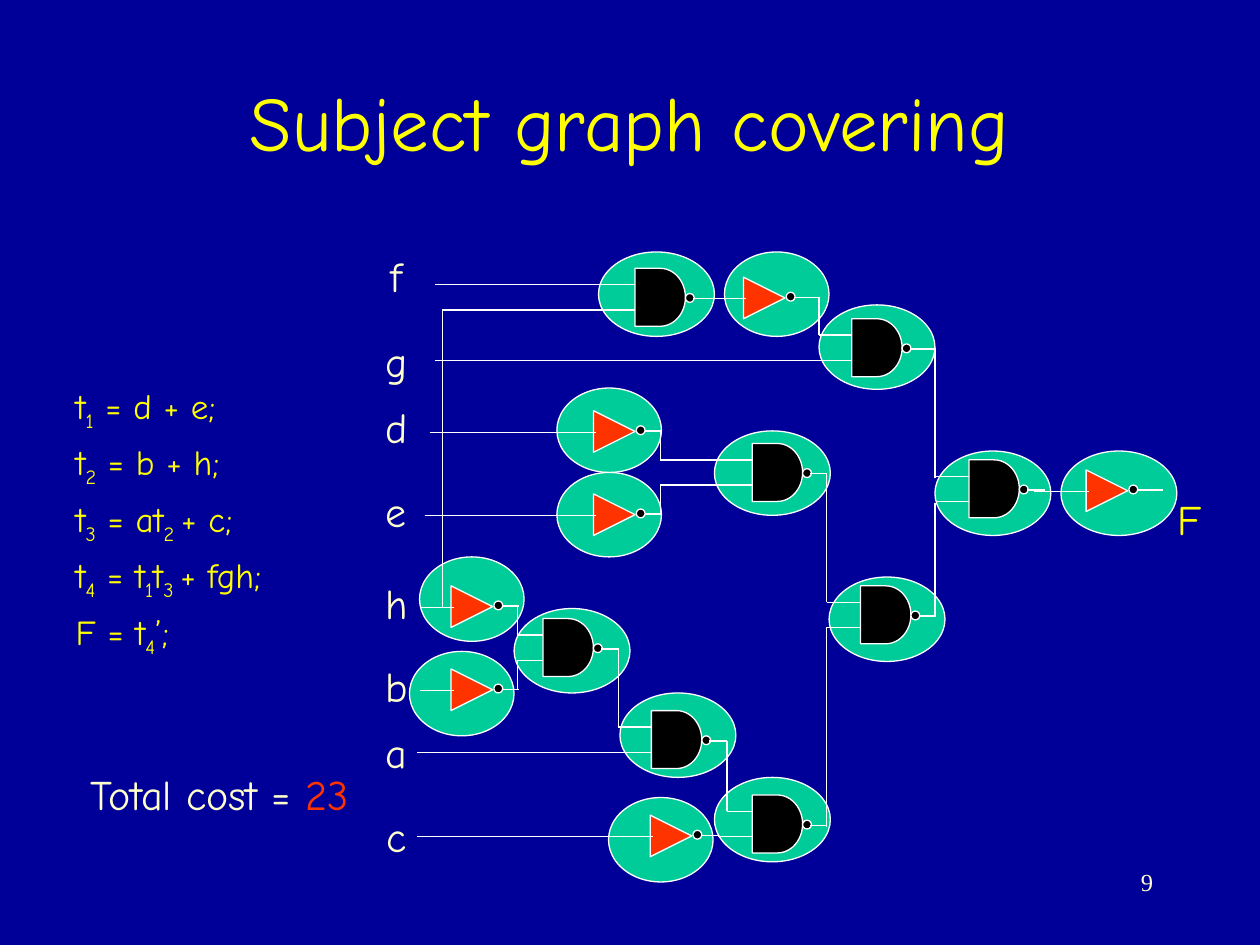
import lxml.etree
import pptx
import pptx.dml.color
import pptx.enum.shapes
import pptx.enum.text
import pptx.oxml.ns
import pptx.util

SHAPES = pptx.enum.shapes.MSO_SHAPE
ALIGN = pptx.enum.text.PP_ALIGN
ANCHOR = pptx.enum.text.MSO_ANCHOR
AUTO_SIZE = pptx.enum.text.MSO_AUTO_SIZE
COLORS = {
    "background": "000099", "cover": "00CC99", "nand": "000000", "inverter": "FF3300",
    "line": "FFFFFF", "title": "FFFF00", "text": "FFFFCC", "cost": "FF3300",
}
FONT = "Comic Neue"
PX_PER_INCH = 100

COVERS = [
    (483, 633, 83), (575, 200, 83), (650, 242, 92), (742, 358, 92), (842, 358, 92),
    (567, 342, 92), (658, 458, 92), (408, 483, 92), (567, 617, 92), (492, 550, 92),
    (442, 308, 83), (442, 375, 83), (333, 442, 83), (325, 517, 83), (475, 200, 92),
]
NANDS = [
    (597, 631, 577, 570, 656), (504, 213, 345, 351, 574), (676, 253, 650, 345, 742),
    (597, 352, 524, 524, 656), (683, 465, 656, 656, 743), (769, 365, 743, 743, 829),
    (431, 491, 411, 411, 491), (517, 564, 491, 331, 577),
]
INVERTERS = [
    (516, 647, 331, 571), (590, 220, 565, 651), (471, 326, 341, 525), (471, 392, 337, 525),
    (358, 465, 333, 412), (358, 531, 333, 412), (862, 373, 821, 923),
]
VERTICAL_WIRES = [
    (650, 266, 236), (524, 365, 342), (524, 385, 408), (742, 379, 276),
    (742, 399, 489), (656, 376, 478), (411, 505, 481), (411, 524, 547),
    (491, 515, 578), (577, 644, 588), (656, 498, 656), (351, 246, 482),
]
INPUTS = {"f": 194, "g": 261, "d": 314, "e": 380, "h": 453, "b": 519, "a": 572, "c": 638}
EQUATIONS = [
    "t|1| = d + e;", "t|2| = b + h;", "t|3| = at|2 |+ c;",
    "t|4| = t|1|t|3 |+ fgh;", "F = t|4|’;",
]


def px(length):
    return pptx.util.Emu(round(length * 914400 / PX_PER_INCH))


def rgb(name):
    return pptx.dml.color.RGBColor.from_string(COLORS[name])


class CircuitSlide:
    """Draws styled text and logic gates on one slide."""

    def __init__(self, page):
        self.page = page
        page.background.fill.solid()
        page.background.fill.fore_color.rgb = rgb("background")

    def shape(self, kind, left, top, width, height, fill, rotation=0):
        shape = self.page.shapes.add_shape(kind, px(left), px(top), px(width), px(height))
        shape.rotation = rotation
        shape.shadow.inherit = False
        shape.fill.solid()
        shape.fill.fore_color.rgb = rgb(fill)
        shape.line.color.rgb = rgb("line")
        shape.line.width = pptx.util.Pt(0.75)

    def wire(self, x1, y1, x2, y2):
        wire = self.page.shapes.add_connector(
            pptx.enum.shapes.MSO_CONNECTOR.STRAIGHT, px(x1), px(y1), px(x2), px(y2))
        wire.line.color.rgb = rgb("line")
        wire.line.width = pptx.util.Pt(0.75)
        properties = wire._element.find(pptx.oxml.ns.qn("p:spPr"))
        lxml.etree.SubElement(properties, pptx.oxml.ns.qn("a:effectLst"))

    def nand(self, left, top, upper_start, lower_start, output_end):
        self.shape(SHAPES.FLOWCHART_DELAY, left, top, 40, 46, "nand")
        self.wire(upper_start, top + 13, left, top + 13)
        self.wire(lower_start, top + 33, left, top + 33)
        self.shape(SHAPES.OVAL, left + 40, top + 20, 7, 7, "nand")
        self.wire(left + 46, top + 24, output_end, top + 24)

    def inverter(self, left, top, input_start, output_end):
        self.shape(SHAPES.ISOSCELES_TRIANGLE, left, top, 33, 33, "inverter", 90)
        self.wire(input_start, top + 17, left + 2, top + 17)
        self.shape(SHAPES.OVAL, left + 34, top + 12, 7, 7, "nand")
        self.wire(left + 41, top + 16, output_end, top + 16)

    def span(self, para, text, size, color, font=FONT):
        span = para.add_run()
        span.text = text
        span.font.size = pptx.util.Pt(size)
        span.font.name = font
        span.font.color.rgb = rgb(color)
        return span

    def place(self, box, left, top, width, height):
        box.left, box.top, box.width, box.height = px(left), px(top), px(width), px(height)
        box.text_frame.auto_size = AUTO_SIZE.NONE

    def title(self, text):
        box = self.page.shapes.title
        self.place(box, 75, 33, 850, 125)
        box.text_frame.vertical_anchor = ANCHOR.MIDDLE
        para = box.text_frame.paragraphs[0]
        para.alignment = ALIGN.CENTER
        self.span(para, text, 44, "title")

    def equations(self, lines):
        box = self.page.placeholders[1]
        self.place(box, 0, 300, 325, 267)
        for index, line in enumerate(lines):
            frame = box.text_frame
            para = frame.add_paragraph() if index else frame.paragraphs[0]
            para.level = 1
            para.space_before = pptx.util.Pt(5)
            properties = para._p.get_or_add_pPr()
            properties.set("marL", str(px(81)))
            properties.set("indent", str(px(-31)))
            lxml.etree.SubElement(properties, pptx.oxml.ns.qn("a:buNone"))
            for position, text in enumerate(line.split("|")):
                span = self.span(para, text, 20, "title")
                if position % 2:
                    span._r.get_or_add_rPr().set("baseline", "-25000")

    def label(self, left, top, width, pieces, align=ALIGN.CENTER, size=24, font=FONT):
        box = self.page.shapes.add_textbox(px(left), px(top), px(width), px(50))
        box.text_frame.word_wrap = align == ALIGN.RIGHT
        if align == ALIGN.CENTER:
            box.text_frame.vertical_anchor = ANCHOR.MIDDLE
        para = box.text_frame.paragraphs[0]
        para.alignment = align
        for text, color in pieces:
            self.span(para, text, size, color, font)


def main():
    deck = pptx.Presentation()
    deck.slide_width, deck.slide_height = px(1000), px(750)
    circuit = CircuitSlide(deck.slides.add_slide(deck.slide_layouts[1]))
    for left, top, width in COVERS:
        circuit.shape(SHAPES.OVAL, left, top, width, 67, "cover")
    circuit.title("Subject graph covering")
    circuit.equations(EQUATIONS)
    for nand in NANDS:
        circuit.nand(*nand)
    for inverter in INVERTERS:
        circuit.inverter(*inverter)
    for x, start, end in VERTICAL_WIRES:
        circuit.wire(x, start, x, end)
    for name, top in INPUTS.items():
        circuit.label(296, top, 37, [(name, "text")])
    circuit.label(919, 367, 50, [(" F", "title")])
    circuit.label(62, 605, 229, [("Total cost = ", "text"), ("23", "cost")], ALIGN.LEFT)
    circuit.label(717, 683, 208, [("9", "text")], ALIGN.RIGHT, 14, "Times New Roman")
    deck.save("out.pptx")


if __name__ == "__main__":
    main()
